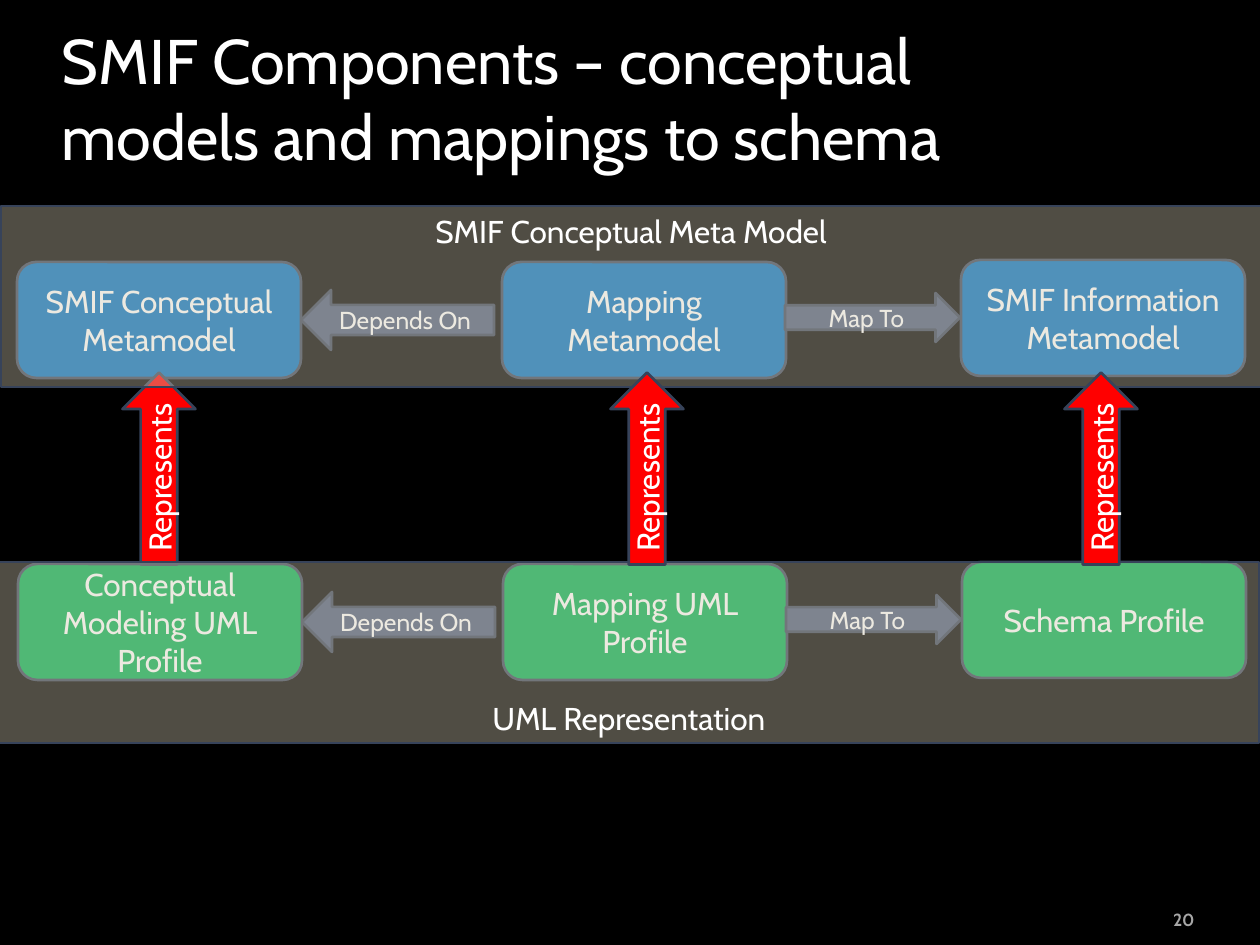
from lxml import etree
from pptx import Presentation
from pptx.dml.color import RGBColor
from pptx.enum.shapes import MSO_SHAPE
from pptx.enum.text import MSO_ANCHOR, MSO_AUTO_SIZE, PP_ALIGN
from pptx.oxml.ns import qn
from pptx.util import Emu, Pt

BOX, BAND = MSO_SHAPE.ROUNDED_RECTANGLE, MSO_SHAPE.RECTANGLE
LEFT_ARROW, RIGHT_ARROW = MSO_SHAPE.LEFT_ARROW, MSO_SHAPE.RIGHT_ARROW
TOP, MIDDLE, BOTTOM = MSO_ANCHOR.TOP, MSO_ANCHOR.MIDDLE, MSO_ANCHOR.BOTTOM
LEFT, CENTER, RIGHT = PP_ALIGN.LEFT, PP_ALIGN.CENTER, PP_ALIGN.RIGHT

BLACK = RGBColor(0x00, 0x00, 0x00)
WHITE = RGBColor(0xFF, 0xFF, 0xFF)
GREY = RGBColor(0xA6, 0xA6, 0xA6)
NAVY = RGBColor(0x37, 0x43, 0x5A)
SLATE = RGBColor(0x4A, 0x5A, 0x7A)
BLUE = RGBColor(0x00, 0x70, 0xC0)
GREEN = RGBColor(0x00, 0xB0, 0x50)
RED = RGBColor(0xFF, 0x00, 0x00)
SAND = RGBColor(0xD0, 0xC7, 0xB1)

FONT = "Cabin"
PX_PER_INCH = 126
ROW_STEP = (1, 302)  # offset from the metamodel row to the profile row


def px(n):
    return Emu(round(n * 914400 / PX_PER_INCH))


def place(sp, x, y, w, h):
    sp.left, sp.top, sp.width, sp.height = px(x), px(y), px(w), px(h)


def write(sp, text, size, color=WHITE, align=CENTER, anchor=MIDDLE, bold=False):
    tf = sp.text_frame
    frame_format = {"word_wrap": True, "auto_size": MSO_AUTO_SIZE.NONE,
                    "vertical_anchor": anchor}
    for name, value in frame_format.items():
        setattr(tf, name, value)
    p = tf.paragraphs[0]
    p.alignment = align
    r = p.add_run()
    r.text = text
    for name, value in {"name": FONT, "size": Pt(size), "bold": bold}.items():
        setattr(r.font, name, value)
    r.font.color.rgb = color
    return p


def add_shape(slide, kind, rect, fill, text, size=18, anchor=MIDDLE):
    sp = slide.shapes.add_shape(kind, *map(px, rect))
    sp.shadow.inherit = False
    sp.fill.solid()
    sp.fill.fore_color.rgb = fill
    sp.line.color.rgb = NAVY
    sp.line.width = Pt(1.5)
    write(sp, text, size, anchor=anchor)
    return sp


def add_row(slide, labels, fill, dx=0, dy=0):
    """Three boxes, with an arrow from the middle one to each side."""
    for text, x, y in zip(labels, (17, 502, 961), (262, 262, 260)):
        add_shape(slide, BOX, (x + dx, y + dy, 284, 116), fill, text)
    add_shape(slide, LEFT_ARROW, (301 + dx, 290 + dy, 193, 60), SLATE, "Depends On", 14)
    add_shape(slide, RIGHT_ARROW, (785 + dx, 293 + dy, 175, 49), SLATE, "Map To", 14)


def add_represents(slide, center_x):
    w, h = 192, 73
    rect = (center_x - w / 2, 432, w, h)
    add_shape(slide, RIGHT_ARROW, rect, RED, "Represents").rotation = 270


def add_band(slide, x, y, text, anchor):
    sp = add_shape(slide, BAND, (x, y, 1260, 181), SAND, text, anchor=anchor)
    color = sp.fill._xPr.find(qn("a:solidFill"))[0]
    etree.SubElement(color, qn("a:alpha")).set("val", "39000")


def add_title(slide, text):
    title = slide.shapes.title
    place(title, 49, 31, 1058, 148)
    p = write(title, text, 36, align=LEFT, anchor=BOTTOM)
    p.space_before = Pt(4)


def add_page_number(slide, text):
    sp = slide.shapes.add_textbox(px(1086), px(902), px(121), px(34))
    write(sp, text, 10, GREY, RIGHT, bold=True)


def main():
    prs = Presentation()
    prs.slide_width, prs.slide_height = px(1260), px(945)
    slide = prs.slides.add_slide(prs.slide_layouts[5])
    slide.background.fill.solid()
    slide.background.fill.fore_color.rgb = BLACK

    add_page_number(slide, "20")
    add_title(slide, "SMIF Components – conceptual models and mappings to schema")

    # Profiles below, metamodels above
    add_row(slide, ("Conceptual Modeling UML Profile", "Mapping UML Profile",
                    "Schema Profile"), GREEN, *ROW_STEP)
    add_row(slide, ("SMIF Conceptual Metamodel", "Mapping Metamodel",
                    "SMIF Information Metamodel"), BLUE)

    # The translucent bands cover the rows and the first upward arrow
    add_represents(slide, 159)
    add_band(slide, 1, 206, "SMIF Conceptual Meta Model", TOP)
    add_band(slide, -1, 562, "UML Representation", BOTTOM)
    for center_x in (647, 1101):
        add_represents(slide, center_x)

    prs.save("out.pptx")


if __name__ == "__main__":
    main()
